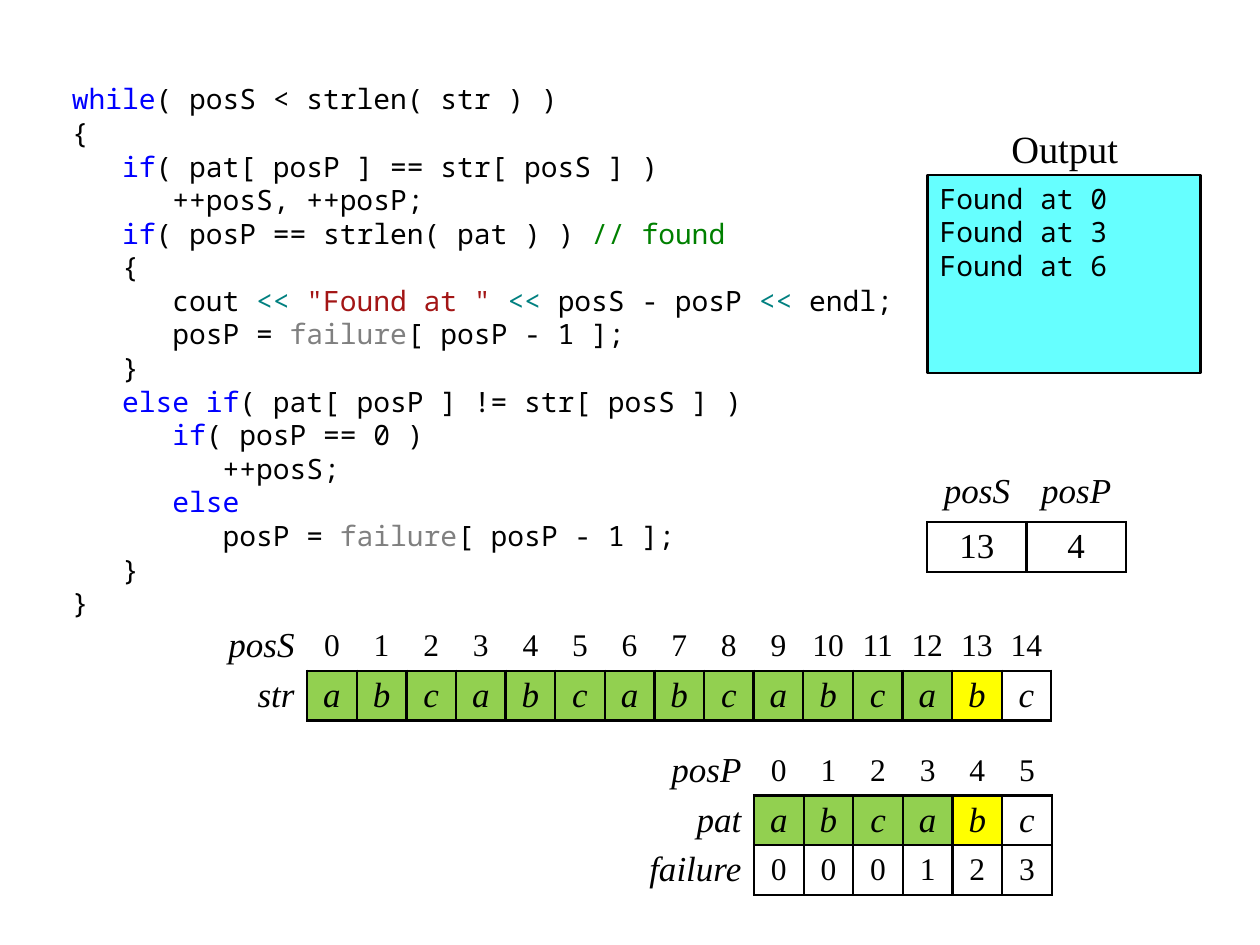
from lxml import etree
from pptx import Presentation
from pptx import util as u
from pptx.dml.color import RGBColor
from pptx.enum import shapes, text
from pptx.oxml import ns

BLACK = RGBColor(0x00, 0x00, 0x00)
KEYWORD = RGBColor(0x00, 0x00, 0xFF)
COMMENT = RGBColor(0x00, 0x80, 0x00)
OPERATOR = RGBColor(0x00, 0x80, 0x80)
STRING = RGBColor(0xA3, 0x15, 0x15)
ARRAY = RGBColor(0x80, 0x80, 0x80)
CYAN = RGBColor(0x66, 0xFF, 0xFF)
MATCHED = RGBColor(0x92, 0xD0, 0x50)
CURRENT = RGBColor(0xFF, 0xFF, 0x00)

MONO, SERIF = "Noto Sans Mono", "Times New Roman"
CELL = u.Inches(5.91) // 15
NO_STYLE = "{2D5ABB26-0587-4C30-8999-92F81FD0307C}"

IF = ("if", KEYWORD)
SHIFT = ("<< ", OPERATOR)
FAILURE = ("failure", ARRAY)
CODE = [
    [("while", KEYWORD), "( posS < strlen( str ) )"],
    ["{"],
    ["   ", IF, "( pat[ posP ] == str[ posS ] )"],
    ["      ++posS, ++posP;"],
    ["   ", IF, "( posP == strlen( pat ) ) ", ("// found", COMMENT)],
    ["   {"],
    ["      cout ", SHIFT, ('"Found at " ', STRING), SHIFT, "posS - posP ", SHIFT, "endl;"],
    ["      posP = ", FAILURE, "[ posP - 1 ];"],
    ["   }"],
    ["   ", ("else if", KEYWORD), "( pat[ posP ] != str[ posS ] )"],
    ["      ", IF, "( posP == 0 )"],
    ["         ++posS;"],
    ["      ", ("else", KEYWORD)],
    ["         posP = ", FAILURE, "[ posP - 1 ];"],
    ["   }"],
    ["}"],
]


def set_font(font, name, size, italic=False):
    """Give a font its face, size and slant in black."""
    font.name, font.size, font.italic = name, u.Pt(size), italic
    font.color.rgb = BLACK


def place(shape, left, top, width, height):
    """Move and size a shape, in inches."""
    shape.left, shape.top = u.Inches(left), u.Inches(top)
    shape.width, shape.height = u.Inches(width), u.Inches(height)


def set_margins(item, left, top, right, bottom):
    """Set the inner margins of a text frame or cell, in inches."""
    item.margin_left, item.margin_right = u.Inches(left), u.Inches(right)
    item.margin_top, item.margin_bottom = u.Inches(top), u.Inches(bottom)


def add_lines(frame, lines):
    """Fill a frame with monospaced lines of plain or coloured spans."""
    for number, line in enumerate(lines):
        para = frame.add_paragraph() if number else frame.paragraphs[0]
        para.alignment = text.PP_ALIGN.LEFT
        para.space_before = u.Pt(0)
        properties = para._p.get_or_add_pPr()
        properties.set("marL", "0")
        properties.set("indent", "0")
        etree.SubElement(properties, ns.qn("a:buNone"))
        set_font(para.font, MONO, 16)
        for part in line:
            words, color = (part, BLACK) if isinstance(part, str) else part
            span = para.add_run()
            span.text = words
            span.font.color.rgb = color


def add_code(page):
    """Put the code listing in the body placeholder."""
    body = page.placeholders[1]
    place(body, 0.47, 0.6, 6.69, 4.33)
    frame = body.text_frame
    frame.auto_size = text.MSO_AUTO_SIZE.NONE
    frame.vertical_anchor = text.MSO_ANCHOR.TOP
    set_margins(frame, 0.1, 0.05, 0.04, 0.05)
    add_lines(frame, CODE)


def add_output(page):
    """Add the output panel and its heading."""
    panel = page.shapes.add_shape(shapes.MSO_SHAPE.RECTANGLE, 0, 0, 0, 0)
    place(panel, 7.36, 1.39, 2.17, 1.57)
    panel.shadow.inherit = False
    panel.fill.solid()
    panel.fill.fore_color.rgb = CYAN
    panel.line.color.rgb = BLACK
    panel.line.width = u.Pt(1.5)
    panel.text_frame.vertical_anchor = text.MSO_ANCHOR.TOP
    add_lines(panel.text_frame, [[f"Found at {position}"] for position in (0, 3, 6)])

    heading = page.shapes.add_textbox(0, 0, 0, 0)
    place(heading, 7.76, 0.99, 1.38, 0.39)
    frame = heading.text_frame
    frame.word_wrap = True
    set_margins(frame, 0.1, 0, 0.1, 0.05)
    para = frame.paragraphs[0]
    para.text = "Output"
    para.alignment = text.PP_ALIGN.CENTER
    set_font(para.font, SERIF, 22)


def set_borders(cell, sides):
    """Draw black borders on the given sides of a cell and none elsewhere."""
    properties = cell._tc.get_or_add_tcPr()
    for side in "LRTB":
        line = etree.SubElement(properties, ns.qn(f"a:ln{side}"), w=str(u.Pt(1.5)))
        if side in sides:
            fill = etree.SubElement(line, ns.qn("a:solidFill"))
            etree.SubElement(fill, ns.qn("a:srgbClr"), val=str(BLACK))
        else:
            etree.SubElement(line, ns.qn("a:noFill"))


def format_cell(cell, words, is_label, sides, color, number_size):
    """Write one cell, with names in italics and numbers upright."""
    set_borders(cell, sides)
    if color is None:
        cell.fill.background()
    else:
        cell.fill.solid()
        cell.fill.fore_color.rgb = color
    cell.vertical_anchor = text.MSO_ANCHOR.MIDDLE
    side_margin = 0.1 if is_label else 0.04
    set_margins(cell, side_margin, 0, side_margin, 0)
    para = cell.text_frame.paragraphs[0]
    para.text = words
    para.alignment = text.PP_ALIGN.RIGHT if is_label else text.PP_ALIGN.CENTER
    is_name = words.isalpha()
    set_font(para.font, SERIF, 20 if is_name else number_size, is_name)


def add_array(page, left, top, widths, rows, current=None, number_size=18):
    """Add an array with a header row, marking cells up to the current index."""
    labelled = current is not None
    frame = page.shapes.add_table(
        len(rows), len(widths), u.Inches(left), u.Inches(top),
        int(sum(widths) * CELL), len(rows) * CELL)
    table = frame.table
    table.first_row = table.horz_banding = False
    table._tbl.tblPr.find(ns.qn("a:tableStyleId")).text = NO_STYLE
    for column, width in zip(table.columns, widths):
        column.width = int(width * CELL)
    for row_number, row in enumerate(rows):
        table.rows[row_number].height = CELL
        for column_number, words in enumerate(row):
            is_label = labelled and column_number == 0
            if is_label:
                sides = "R" if row_number else ""
            else:
                sides = "LRTB" if row_number else "B"
            color = None
            if labelled and row_number == 1 and not is_label:
                index = column_number - 1
                color = MATCHED if index < current else CURRENT if index == current else None
            format_cell(table.cell(row_number, column_number), words,
                        is_label, sides, color, number_size)
    return table


def main():
    """Build the string matching slide."""
    deck = Presentation()
    deck.slide_width, deck.slide_height = u.Inches(10), u.Inches(7.5)
    page = deck.slides.add_slide(deck.slide_layouts[1])
    title = page.shapes.title._element
    title.getparent().remove(title)
    add_code(page)
    add_array(page, 1.65, 4.93, [2] + [1] * 15,
              [["posS", *map(str, range(15))], ["str", *"abc" * 5]], current=13)
    counters = add_array(page, 7.36, 3.75, [2, 2],
                         [["posS", "posP"], ["13", "4"]], number_size=20)
    for cell in counters.rows[0].cells:
        cell.vertical_anchor = text.MSO_ANCHOR.TOP
    add_array(page, 5, 5.92, [2.5] + [1] * 6,
              [["posP", *"012345"], ["pat", *"abcabc"], ["failure", *"000123"]], current=4)
    add_output(page)
    deck.save("out.pptx")


if __name__ == "__main__":
    main()
